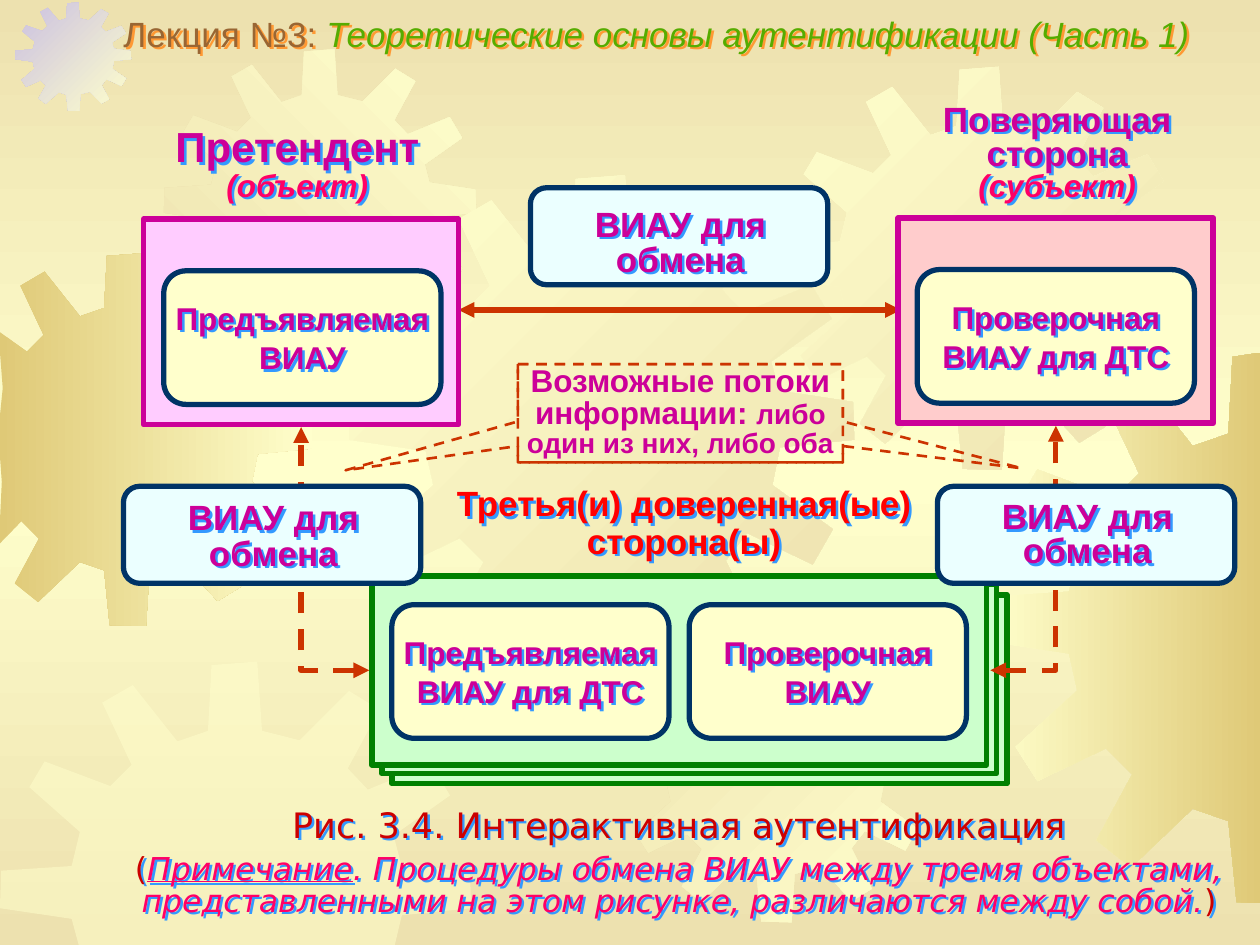
from copy import deepcopy
from dataclasses import dataclass
from typing import Optional, Union

from lxml.etree import SubElement
from pptx import Presentation
from pptx.dml.color import RGBColor
from pptx.enum.dml import MSO_LINE_DASH_STYLE as Dash
from pptx.enum.shapes import MSO_CONNECTOR as Link, MSO_SHAPE as Shape
from pptx.enum.text import MSO_ANCHOR as Anchor, MSO_AUTO_SIZE as AutoSize, PP_ALIGN as Align
from pptx.oxml.ns import qn
from pptx.util import Inches, Pt

COLORS = {
    "sand": "EDE1AF", "cream": "FFFFCC", "gold": "DFC977", "lilac": "CAC0E2",
    "red": "CC0000", "pink": "FF0066", "brown": "996633", "grass": "56AC00",
    "magenta": "CC0099", "bright_red": "FF0000", "rust": "CC3300", "navy": "003366",
    "green": "008000", "mint": "CCFFCC", "ice": "EBFFFF", "rose": "FFCCFF",
    "salmon": "FFCCCC", "blue": "3399FF", "orange": "FF9933",
}
# Outline of one gear; the other gears are scaled from it.
GEAR_BOX = (2.77, 1.39, 4.01, 4.01)
GEAR = [
    (5.32, 2.06), (5, 1.98), (4.96, 1.39), (4.57, 1.42), (4.54, 1.98), (4.28, 2.07),
    (3.9, 1.59), (3.64, 1.74), (3.89, 2.27), (3.71, 2.45), (3.15, 2.24), (3.02, 2.46),
    (3.45, 2.84), (3.38, 3.13), (2.78, 3.17), (2.77, 3.49), (3.38, 3.58), (3.44, 3.85),
    (2.99, 4.26), (3.15, 4.51), (3.65, 4.27), (3.84, 4.46), (3.58, 4.94), (3.83, 5.14),
    (4.28, 4.71), (4.54, 4.8), (4.6, 5.39), (4.99, 5.4), (5.03, 4.78), (5.36, 4.69),
    (5.76, 5.13), (6.02, 4.97), (5.76, 4.45), (5.93, 4.23), (6.45, 4.48), (6.61, 4.2),
    (6.13, 3.85), (6.19, 3.55), (6.78, 3.49), (6.77, 3.19), (6.18, 3.1), (6.12, 2.87),
    (6.6, 2.53), (6.44, 2.26), (5.9, 2.48), (5.73, 2.3), (6, 1.8), (5.74, 1.64),
]
PAGE_WIDTH, PAGE_HEIGHT = 10, 7.5


@dataclass
class Gear:
    left: float
    top: float
    width: float
    height: float
    colors: tuple[str, ...]
    angle: int = 0


@dataclass
class Box:
    at: tuple[float, float, float, float]
    fill: Optional[str]
    line: str
    weight: float
    kind: Shape = Shape.RECTANGLE


@dataclass
class Span:
    text: str
    size: float
    color: str = "magenta"
    bold: bool = True
    italic: bool = False
    underline: bool = False
    font: str = "Arial"


@dataclass
class Label:
    at: tuple[float, float, float, float]
    paras: list[list[Span]]
    spacing: Union[float, Pt]
    anchor: Anchor = Anchor.TOP


def rgb(name: str) -> RGBColor:
    return RGBColor.from_string(COLORS[name])


def inches(values) -> list:
    return [Inches(value) for value in values]


def set_gradient(fill, colors: tuple[str, str], angle: int) -> None:
    fill.gradient()
    fill.gradient_angle = -angle % 360
    for stop, name in zip(fill.gradient_stops, colors):
        stop.color.rgb = rgb(name)


def draw_background(page) -> None:
    fill = page.background.fill
    set_gradient(fill, ("sand", "sand"), 90)
    first = next(page.background._cSld.iter(qn("a:gs")))
    middle = deepcopy(first)
    middle.set("pos", "50000")
    middle.find(qn("a:srgbClr")).set("val", COLORS["cream"])
    first.addnext(middle)


def draw_gear(page, gear: Gear) -> None:
    """Scale the gear outline and keep it within the page."""
    left, top, width, height = GEAR_BOX
    points = []
    for x, y in GEAR:
        new_x = gear.left + (x - left) / width * gear.width
        new_y = gear.top + (y - top) / height * gear.height
        points.append((Inches(min(max(new_x, 0), PAGE_WIDTH)),
                       Inches(min(max(new_y, 0), PAGE_HEIGHT))))
    builder = page.shapes.build_freeform(*points[0])
    builder.add_line_segments(points[1:], close=True)
    shape = builder.convert_to_shape()
    shape.shadow.inherit = False
    shape.line.fill.background()
    if len(gear.colors) == 2:
        set_gradient(shape.fill, gear.colors, gear.angle)
    else:
        shape.fill.solid()
        shape.fill.fore_color.rgb = rgb(gear.colors[0])
        color = next(shape._element.spPr.iter(qn("a:srgbClr")))
        SubElement(color, qn("a:alpha")).set("val", "50000")


def draw_box(page, box: Box):
    shape = page.shapes.add_shape(box.kind, *inches(box.at))
    shape.shadow.inherit = False
    if box.fill:
        shape.fill.solid()
        shape.fill.fore_color.rgb = rgb(box.fill)
    else:
        shape.fill.background()
    shape.line.color.rgb = rgb(box.line)
    shape.line.width = Pt(box.weight)
    return shape


def draw_arrow(page, begin, end, dashed: bool = False, rotation: int = 0) -> None:
    """Draw a two-headed arrow; a dashed one turns a single corner."""
    arrow = page.shapes.add_connector(Link.ELBOW if dashed else Link.STRAIGHT,
                                      *inches(begin + end))
    arrow.line.color.rgb = rgb("rust")
    arrow.line.width = Pt(3)
    properties = arrow._element.spPr
    if dashed:
        arrow.line.dash_style = Dash.DASH
        properties.find(qn("a:prstGeom")).set("prst", "bentConnector2")
    if rotation:
        properties.find(qn("a:xfrm")).set("rot", str(rotation * 60000))
    line = properties.find(qn("a:ln"))
    for tag in ("a:headEnd", "a:tailEnd"):
        SubElement(line, qn(tag)).set("type", "triangle")
    SubElement(properties, qn("a:effectLst"))


def add_text_shadow(shape, color: str) -> None:
    shape.fill.background()
    shape.shadow.inherit = False
    effects = shape._element.spPr.find(qn("a:effectLst"))
    shadow = SubElement(effects, qn("a:outerShdw"), dist="25400", dir="2700000", algn="ctr")
    SubElement(shadow, qn("a:srgbClr")).set("val", COLORS[color])


def write(shape, paras: list[list[Span]], spacing, anchor=Anchor.MIDDLE, align=Align.CENTER):
    frame = shape.text_frame
    frame.word_wrap = True
    frame.auto_size = AutoSize.NONE
    frame.vertical_anchor = anchor
    frame.margin_left = frame.margin_right = frame.margin_top = frame.margin_bottom = 0
    for index, spans in enumerate(paras):
        para = frame.add_paragraph() if index else frame.paragraphs[0]
        para.alignment = align
        para.line_spacing = spacing
        para.space_before = Pt(0)
        for span in spans:
            run = para.add_run()
            run.text = span.text
            font = run.font
            font.name, font.size, font.bold = span.font, Pt(span.size), span.bold
            font.italic, font.underline = span.italic, span.underline
            font.color.rgb = rgb(span.color)
    return frame


def draw_label(page, label: Label):
    shape = page.shapes.add_textbox(*inches(label.at))
    add_text_shadow(shape, "blue")
    return write(shape, label.paras, label.spacing, label.anchor)


def draw_card(page, left: float, top: float, lines: list[str]) -> None:
    draw_box(page, Box((left, top, 2.2, 1.06), "cream", "navy", 3, Shape.ROUNDED_RECTANGLE))
    draw_label(page, Label((left, top + 0.21, 2.2, 0.62),
                           [[Span(line, 18)] for line in lines], 1.04))


def draw_exchange(page, left: float, top: float, text_top: float, spacing=Pt(20)) -> None:
    draw_box(page, Box((left, top, 2.36, 0.77), "ice", "navy", 3, Shape.ROUNDED_RECTANGLE))
    draw_label(page, Label((left + 0.09, text_top, 2.2, 0.56),
                           [[Span("ВИАУ для обмена", 20)]], spacing, Anchor.MIDDLE))


def draw_title(page) -> None:
    title = page.shapes.title
    title.left, title.top, title.width, title.height = inches((0.98, 0.13, 9.02, 0.31))
    add_text_shadow(title, "orange")
    write(title, [[Span("Лекция №3: ", 20, "brown", False),
                   Span("Теоретические основы аутентификации (Часть 1)", 20, "grass", False, True)]],
          0.9, align=Align.LEFT)


def draw_caption(page) -> None:
    def span(text, size, color, italic=False, underline=False):
        return Span(text, size, color, False, italic, underline, "DejaVu Sans")

    note = (". Процедуры обмена ВИАУ между тремя объектами, представленными на этом рисунке, "
            "различаются между собой.")
    frame = draw_label(page, Label((1.06, 6.43, 8.66, 0.87), [
        [span("Рис. 3.4. Интерактивная аутентификация", 20, "red")],
        [span("(", 18, "red"), span("Примечание", 18, "pink", True, True),
         span(note, 18, "pink", True), span(")", 18, "red")]], 0.85, Anchor.MIDDLE))
    frame.paragraphs[0].line_spacing = 0.8
    frame.paragraphs[1].space_before = Pt(5.4)


def draw_diagram(page) -> None:
    for offset in (0.16, 0.08):
        draw_box(page, Box((2.95 + offset, 4.56 + offset, 4.88, 1.5), "mint", "green", 3.25))
    draw_arrow(page, (3.64, 2.46), (7.15, 2.46))
    draw_arrow(page, (7.86, 5.32), (8.38, 3.38), dashed=True)
    draw_arrow(page, (2.39, 3.39), (2.93, 5.32), dashed=True, rotation=180)
    for label in (
        Label((1.14, 1.02, 2.44, 0.6), [[Span("Претендент", 24)],
              [Span("(объект)", 18, "pink", italic=True)]], 0.85),
        Label((7.13, 0.84, 2.52, 0.77), [[Span("Поверяющая сторона", 20)],
              [Span("(субъект)", 18, "pink", italic=True)]], 0.8, Anchor.MIDDLE),
        Label((3.5, 3.86, 3.86, 0.6), [[Span("Третья(и) доверенная(ые)", 20, "bright_red")],
              [Span("сторона(ы)", 20, "bright_red")]], 0.9),
    ):
        draw_label(page, label)
    for box in (Box((1.14, 1.74, 2.5, 1.63), "rose", "magenta", 3.25),
                Box((7.13, 1.73, 2.5, 1.63), "salmon", "magenta", 3.25),
                Box((2.95, 4.57, 4.88, 1.5), "mint", "green", 3.25)):
        draw_box(page, box)
    for tip in ((1.05, 0.56), (-1.03, 0.58)):
        callout = draw_box(page, Box((4.11, 2.89, 2.58, 0.78), None, "rust", 1.5,
                                     Shape.RECTANGULAR_CALLOUT))
        callout.adjustments[0], callout.adjustments[1] = tip
        callout.line.dash_style = Dash.DASH
    write(callout, [[Span("Возможные потоки информации: ", 18),
                     Span("либо один из них, либо оба", 16)]], 0.85)
    draw_card(page, 1.3, 2.15, ["Предъявляемая ВИАУ"])
    draw_card(page, 7.28, 2.14, ["Проверочная", "ВИАУ для ДТС"])
    draw_card(page, 3.11, 4.8, ["Предъявляемая ВИАУ для ДТС"])
    draw_card(page, 5.47, 4.8, ["Проверочная", "ВИАУ"])
    draw_exchange(page, 4.21, 1.49, 1.66)
    draw_exchange(page, 0.98, 3.86, 3.99)
    draw_exchange(page, 7.44, 3.86, 3.98, 0.8)


def main() -> None:
    deck = Presentation()
    deck.slide_width, deck.slide_height = Inches(PAGE_WIDTH), Inches(PAGE_HEIGHT)
    page = deck.slides.add_slide(deck.slide_layouts[5])
    draw_background(page)
    for gear in (
        Gear(-0.48, 2.01, 2.96, 2.96, ("gold", "cream")),
        Gear(0.12, 0.02, 0.92, 0.86, ("lilac", "cream"), 45),
        Gear(1.3, 0.39, 2.48, 2.48, ("sand", "cream"), 315),
        Gear(2.77, 1.39, 4.01, 4.01, ("cream", "sand"), 45),
        Gear(0, 5.25, 3.74, 3.74, ("cream",)),
        Gear(4.91, 4.84, 2.48, 2.48, ("sand", "cream"), 45),
        Gear(6.18, 0.53, 3.2, 3.2, ("cream", "sand"), 45),
        Gear(7.82, 2.8, 4.37, 4.37, ("cream", "gold")),
    ):
        draw_gear(page, gear)
    draw_caption(page)
    draw_title(page)
    # The title placeholder is created first, so raise it above the gears.
    page.shapes._spTree.append(page.shapes.title._element)
    draw_diagram(page)
    deck.save("out.pptx")


if __name__ == "__main__":
    main()
